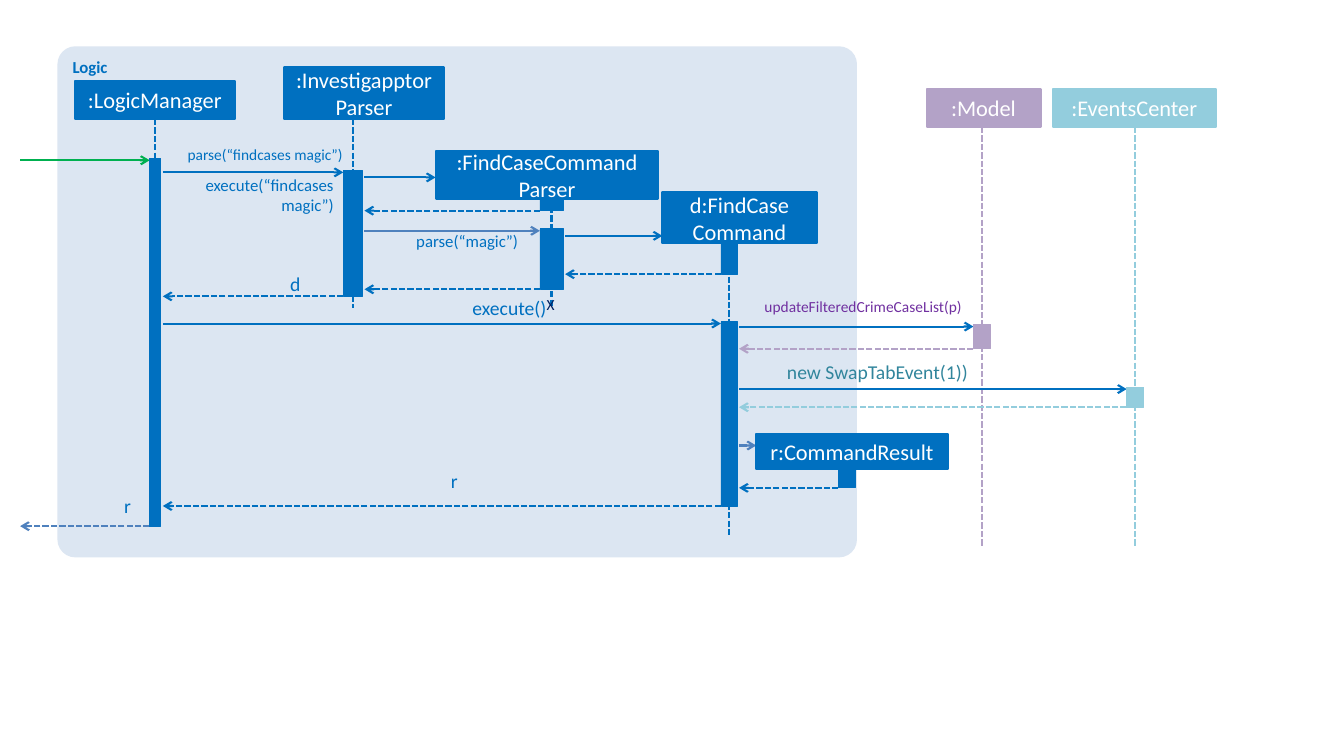
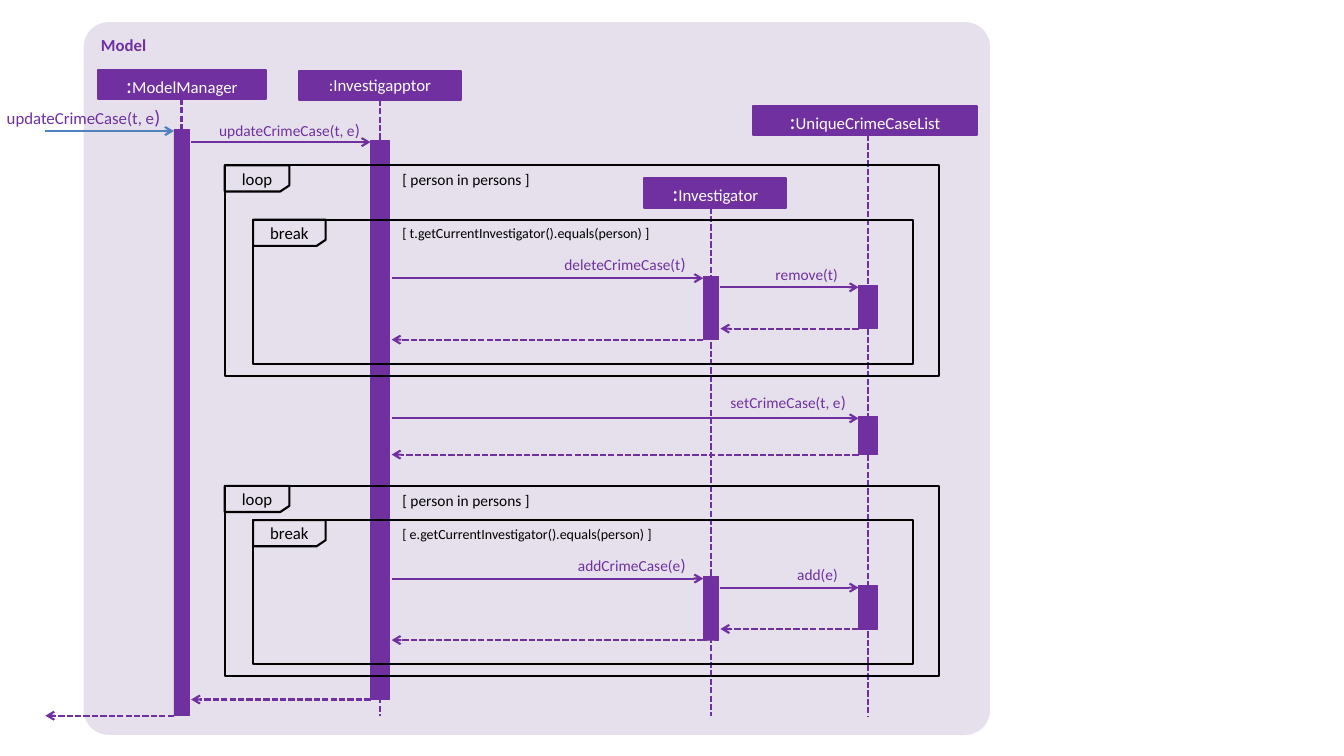
"""Builds two sequence diagrams whose arrows and bars follow from participants and calls."""
from dataclasses import dataclass, field
from lxml.etree import SubElement
from pptx import Presentation
from pptx.dml.color import RGBColor
from pptx.enum.dml import MSO_LINE
from pptx.enum.shapes import MSO_CONNECTOR, MSO_SHAPE
from pptx.enum.text import MSO_ANCHOR, PP_ALIGN
from pptx.oxml.ns import qn
from pptx.util import Inches, Pt

FONT = "Calibri"
WHITE = RGBColor(0xFF, 0xFF, 0xFF)
BLACK = RGBColor(0x00, 0x00, 0x00)
BLUE = RGBColor(0x00, 0x70, 0xC0)
STEEL = RGBColor(0x4F, 0x81, 0xBD)
NAVY = RGBColor(0x00, 0x20, 0x60)
GREEN = RGBColor(0x00, 0xB0, 0x50)
PURPLE = RGBColor(0x70, 0x30, 0xA0)
LILAC = RGBColor(0xB3, 0xA2, 0xC7)
AQUA = RGBColor(0x93, 0xCD, 0xDD)
TEAL = RGBColor(0x31, 0x85, 0x9C)
PALE_BLUE = RGBColor(0xDC, 0xE6, 0xF2)
PALE_PURPLE = RGBColor(0xE6, 0xE0, 0xEC)

ARROW_GAP = 0.02
BAR_LEAD = 0.02
TAB_HEIGHT = 0.26
GUARD_LEFT = 3.99


@dataclass
class Participant:
    axis: float
    bar: float
    ink: RGBColor
    text: str = ""
    left: float = 0
    top: float = 0
    width: float = 0
    height: float = 0
    foot: float = 0
    size: int = 16
    ending: str = ""


@dataclass
class Call:
    caller: str
    callee: str
    start: float
    reply: float
    ink: RGBColor = None
    reply_ink: RGBColor = None


@dataclass
class Label:
    text: str
    right: float
    top: float
    size: int
    ink: RGBColor
    ending: str = ""
    ending_size: int = 12


@dataclass
class Fragment:
    keyword: str
    left: float
    top: float
    width: float
    height: float
    tab_width: float
    guard: str
    guard_size: int


@dataclass
class Diagram:
    title: str
    panel: tuple
    fill: RGBColor
    ink: RGBColor
    participants: dict
    calls: list
    labels: list
    fragments: list = field(default_factory=list)


def paint(shape, fill=None, outline=None, weight=1.5):
    shape.shadow.inherit = False
    for part, colour in ((shape.fill, fill), (shape.line.fill, outline)):
        if colour is None:
            part.background()
        else:
            part.solid()
            part.fore_color.rgb = colour
    if outline is not None:
        shape.line.width = Pt(weight)
    return shape


def write(shape, text, size, colour, align=PP_ALIGN.CENTER, ending="", ending_size=12):
    frame = shape.text_frame
    frame.word_wrap = True
    frame.vertical_anchor = MSO_ANCHOR.MIDDLE
    for number, line in enumerate(text.split("\n")):
        paragraph = frame.add_paragraph() if number else frame.paragraphs[0]
        paragraph.alignment = align
        paragraph.font.name = FONT
        paragraph.font.size = Pt(size)
        paragraph.font.color.rgb = colour
        paragraph.add_run().text = line
    if ending:
        span = paragraph.add_run()
        span.text = ending
        span.font.size = Pt(ending_size)
    return frame


logic = Diagram(
    "Logic", (0.57, 0.46, 7.93, 5.07), PALE_BLUE, BLUE,
    participants={
        "outside": Participant(0.18, 0, GREEN),
        "manager": Participant(1.54, 0.11, BLUE, ":LogicManager", 0.74, 0.8, 1.59, 0.38, 4.04),
        "parser": Participant(
            3.5, 0.19, BLUE, ":InvestigapptorParser", 2.82, 0.67, 1.58, 0.51, 3.06),
        "find parser": Participant(
            5.47, 0.23, BLUE, ":FindCaseCommand\nParser", 4.32, 1.5, 2.21, 0.47, 3.04),
        "command": Participant(
            7.23, 0.16, BLUE, "d:FindCase\nCommand", 6.57, 1.91, 1.53, 0.5, 5.33),
        "result": Participant(8.4, 0.17, BLUE, "r:CommandResult", 7.5, 4.31, 1.9, 0.34),
        "model": Participant(9.74, 0.17, LILAC, ":Model", 9.19, 0.88, 1.13, 0.38, 5.43),
        "events": Participant(11.26, 0.17, AQUA, ":EventsCenter", 10.44, 0.88, 1.62, 0.38, 5.43),
    },
    calls=[
        Call("outside", "manager", 1.59, 5.22, reply_ink=STEEL),
        Call("manager", "parser", 1.71, 2.94),
        Call("parser", "find parser", 1.76, 2.09),
        Call("parser", "find parser", 2.29, 2.87, ink=STEEL),
        Call("find parser", "command", 2.34, 2.72),
        Call("manager", "command", 3.21, 5.02),
        Call("command", "model", 3.24, 3.46),
        Call("command", "events", 3.86, 4.04),
        Call("command", "result", 4.42, 4.84, ink=STEEL),
    ],
    labels=[
        Label("parse(“findcases magic”)", 3.4, 1.44, 11, BLUE),
        Label("execute(“findcases\nmagic”)", 3.31, 1.73, 12, BLUE),
        Label("parse(“magic”)", 5.14, 2.29, 12, BLUE),
        Label("d", 2.98, 2.7, 14, BLUE),
        Label("execute()", 5.42, 2.94, 14, BLUE),
        Label("X", 5.5, 2.93, 11, NAVY),
        Label("updateFilteredCrimeCaseList(p)", 9.54, 2.95, 11, PURPLE),
        Label("new SwapTabEvent(1))", 9.6, 3.57, 14, TEAL),
        Label("r", 4.54, 4.65, 14, BLUE),
        Label("r", 1.3, 4.9, 14, BLUE),
    ],
)

model = Diagram(
    "Model", (0.83, 0.22, 8.99, 7.07), PALE_PURPLE, PURPLE,
    participants={
        "outside": Participant(0.43, 0, STEEL),
        "manager": Participant(
            1.8, 0.15, PURPLE, ":", 0.97, 0.69, 1.67, 0.29, 2.3, ending="ModelManager"),
        "register": Participant(
            3.77, 0.19, PURPLE, ":Investigapptor", 2.97, 0.7, 1.6, 0.29, 7.1, size=12),
        "investigator": Participant(
            7.05, 0.15, PURPLE, ":", 6.39, 1.77, 1.41, 0.29, 7.1, ending="Investigator"),
        "case list": Participant(
            8.61, 0.19, PURPLE, ":", 7.47, 1.05, 2.22, 0.29, 7.1, ending="UniqueCrimeCaseList"),
    },
    calls=[
        Call("outside", "manager", 1.3, 7.1),
        Call("manager", "register", 1.41, 6.94),
        Call("register", "case list", 4.15, 4.51),
    ],
    labels=[
        Label("updateCrimeCase(t, e", 1.59, 1.04, 12, PURPLE, ")", 14),
        Label("updateCrimeCase(t, e", 3.57, 1.19, 11, PURPLE, ")"),
        Label("setCrimeCase(t, e", 8.39, 3.89, 11, PURPLE, ")"),
    ],
)

for loop_top, break_top, case, outer_name, inner_name in (
    (1.64, 2.18, "t", "deleteCrimeCase", "remove"),
    (4.82, 5.16, "e", "addCrimeCase", "add"),
):
    break_height = 1.43
    loop_height = break_top + break_height + 0.12 - loop_top
    condition = f"[ {case}.getCurrentInvestigator().equals(person) ]"
    outer_start, inner_start = break_top + 0.58, break_top + 0.67
    model.fragments += [
        Fragment("loop", 2.23, loop_top, 7.08, loop_height, 0.64, "[ person in persons ]", 11),
        Fragment("break", 2.51, break_top, 6.55, break_height, 0.72, condition, 10),
    ]
    model.calls += [
        Call("register", "investigator", outer_start, outer_start + 0.61),
        Call("investigator", "case list", inner_start, inner_start + 0.41),
    ]
    model.labels += [
        Label(f"{outer_name}({case}", 6.8, outer_start - 0.24, 11, PURPLE, ")"),
        Label(f"{inner_name}({case})", 8.31, inner_start - 0.22, 11, PURPLE),
    ]

deck = Presentation()
deck.slide_width, deck.slide_height = Inches(13.33), Inches(7.5)

for diagram in (logic, model):
    shapes = deck.slides.add_slide(deck.slide_layouts[6]).shapes

    place = map(Inches, diagram.panel)
    panel = paint(shapes.add_shape(MSO_SHAPE.ROUNDED_RECTANGLE, *place), diagram.fill)
    panel.adjustments[0] = 0.035
    frame = write(panel, diagram.title, 12, diagram.ink, PP_ALIGN.LEFT)
    frame.vertical_anchor = MSO_ANCHOR.TOP
    frame.paragraphs[0].font.bold = True

    heads = [head for head in diagram.participants.values() if head.text]
    lines = [
        (head.axis, head.top + head.height, head.axis, head.foot, head.ink)
        for head in heads if head.foot
    ]
    bars = []
    for call in diagram.calls:
        caller = diagram.participants[call.caller]
        callee = diagram.participants[call.callee]
        head_bottom = callee.top + callee.height
        creates = callee.top <= call.start <= head_bottom
        left = caller.axis + caller.bar / 2 + ARROW_GAP
        bar_left = callee.axis - callee.bar / 2
        call_end = callee.left if creates else bar_left
        bar_top = head_bottom if creates else call.start - BAR_LEAD
        lines.append((left, call.start, call_end, call.start, call.ink or caller.ink))
        lines.append((bar_left, call.reply, left, call.reply, call.reply_ink or callee.ink))
        bars.append((bar_left, bar_top, callee.bar, call.reply - bar_top, callee.ink))

    for start_x, start_y, end_x, end_y, ink in lines:
        ends = map(Inches, (start_x, start_y, end_x, end_y))
        connector = shapes.add_connector(MSO_CONNECTOR.STRAIGHT, *ends)
        connector.line.color.rgb = ink
        connector.line.width = Pt(1.5)
        if end_x <= start_x:
            connector.line.dash_style = MSO_LINE.SQUARE_DOT
        properties = connector._element.spPr
        if end_x != start_x:
            SubElement(properties.find(qn("a:ln")), qn("a:tailEnd"), type="arrow")
        SubElement(properties, qn("a:effectLst"))

    for *place, ink in bars:
        bar = shapes.add_shape(MSO_SHAPE.RECTANGLE, *map(Inches, place))
        paint(bar, ink, ink, 0.5)

    for head in heads:
        place = map(Inches, (head.left, head.top, head.width, head.height))
        box = paint(shapes.add_shape(MSO_SHAPE.RECTANGLE, *place), head.ink, head.ink)
        write(box, head.text, head.size, WHITE, ending=head.ending)

    notes = []
    for part in diagram.fragments:
        place = map(Inches, (part.left, part.top, part.width, part.height))
        paint(shapes.add_shape(MSO_SHAPE.RECTANGLE, *place), None, BLACK)
        right, bottom = part.left + part.tab_width, part.top + TAB_HEIGHT
        corners = (
            (right - 0.09, bottom), (right, bottom - 0.06), (right, part.top),
            (part.left, part.top),
        )
        outline = shapes.build_freeform(Inches(part.left), Inches(bottom))
        outline.add_line_segments([(Inches(x), Inches(y)) for x, y in corners])
        write(paint(outline.convert_to_shape(), None, BLACK), part.keyword, 12, BLACK)
        guard = Label(part.guard, GUARD_LEFT + 3, part.top + 0.05, part.guard_size, BLACK)
        notes.append((guard, 3, PP_ALIGN.LEFT))

    for label in diagram.labels:
        longest = max(map(len, label.text.split("\n")))
        notes.append((label, 0.1 + longest * label.size * 0.0075, PP_ALIGN.RIGHT))

    for note, width, align in notes:
        height = (note.text.count("\n") + 1) * note.size / 60
        place = map(Inches, (note.right - width, note.top, width, height))
        box = shapes.add_textbox(*place)
        frame = write(box, note.text, note.size, note.ink, align, note.ending, note.ending_size)
        frame.vertical_anchor = MSO_ANCHOR.TOP
        frame.margin_left = frame.margin_right = frame.margin_top = frame.margin_bottom = 0

deck.save("out.pptx")
